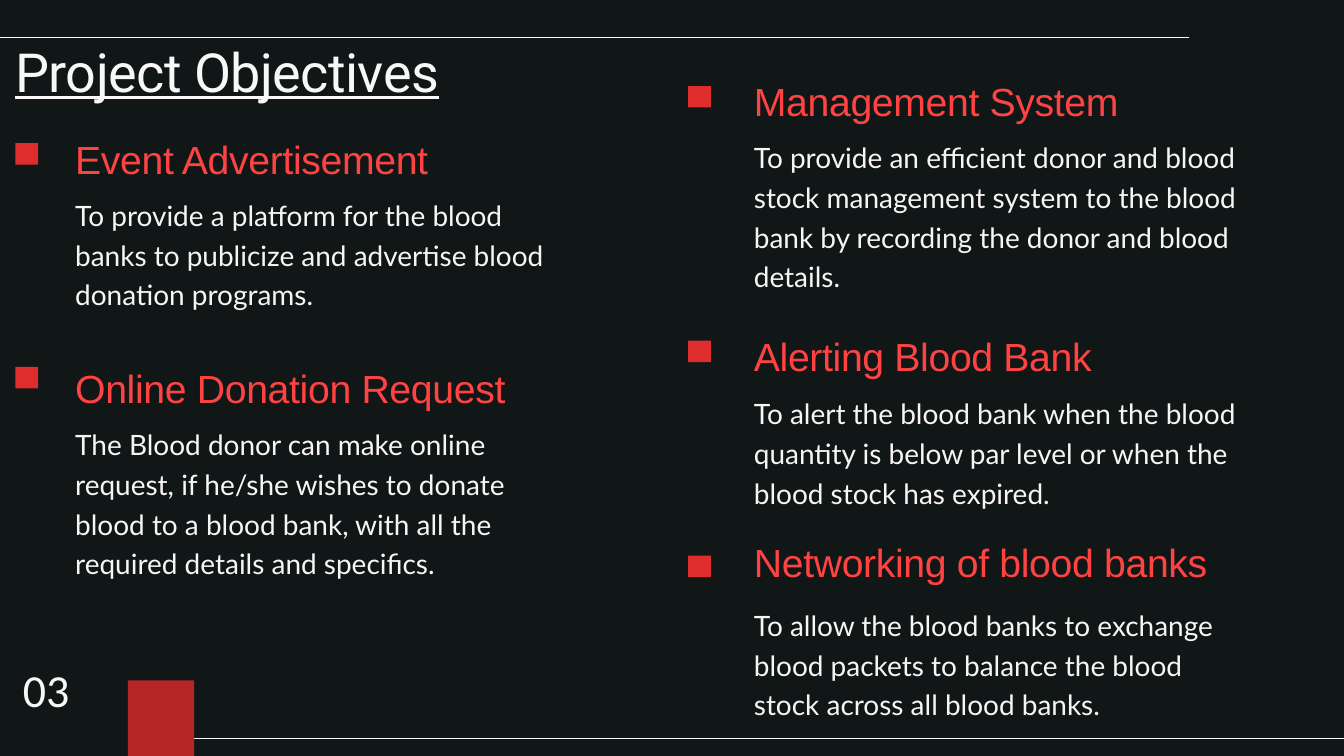
from dataclasses import dataclass

from lxml.etree import SubElement
from pptx import Presentation
from pptx.dml.color import RGBColor
from pptx.enum.shapes import MSO_CONNECTOR, MSO_SHAPE
from pptx.enum.text import MSO_ANCHOR, MSO_AUTO_SIZE, PP_ALIGN
from pptx.oxml.ns import qn
from pptx.util import Pt


@dataclass(frozen=True)
class Style:
    font: str
    size: float
    line: float
    color: str
    tracking: int = 0  # hundredths of a point
    underline: bool = False


@dataclass(frozen=True)
class Theme:
    background: str = "111717"
    rule: str = "F8F8F8"
    accent: str = "DF2C2C"
    rule_width: float = 1.44
    title: Style = Style("Roboto", 57.7, 72.7, "F8F8F8", -60, True)
    heading: Style = Style("Arial", 42, 54.6, "FF4343", -40)
    body: Style = Style("Lato", 30, 42.6, "F8F5F5")
    number: Style = Style("Calibri", 49.2, 70, "F8F8F8")


THEME = Theme()
WIDTH, HEIGHT = 1440, 810
TEXT_WIDTH = 535
HEADING_HEIGHT = 52.5

# Each column: left edge, text indent, then its objectives as
# (heading top, marker drop, body drop, body lines, heading, body)
COLUMNS = [
    (16.5, 64.1, [
        (140.4, 13, 65.5, 3, "Event Advertisement",
         "To provide a platform for the blood banks to publicize and "
         "advertise blood donation programs."),
        (386, 7.2, 65.5, 4, "Online Donation Request",
         "The Blood donor can make online request, if he/she wishes to donate "
         "blood to a blood bank, with all the required details and specifics."),
    ]),
    (737.3, 70.5, [
        (78.5, 13.7, 65.5, 4, "Management System",
         "To provide an efficient donor and blood stock management system to "
         "the blood bank by recording the donor and blood details."),
        (352, 13, 66.3, 3, "Alerting Blood Bank",
         "To alert the blood bank when the blood quantity is below par level "
         "or when the blood stock has expired."),
        (572.4, 23, 72.7, 3, "Networking of blood banks",
         "To allow the blood banks to exchange blood packets to balance the "
         "blood stock across all blood banks."),
    ]),
]


def place(sp, x, y, w, h):
    sp.left, sp.top, sp.width, sp.height = Pt(x), Pt(y), Pt(w), Pt(h)


def write(sp, text, style):
    tf = sp.text_frame
    tf.text = text
    tf.word_wrap = True
    tf.auto_size = MSO_AUTO_SIZE.NONE
    tf.vertical_anchor = MSO_ANCHOR.TOP
    tf.margin_left = tf.margin_right = tf.margin_top = tf.margin_bottom = 0
    p = tf.paragraphs[0]
    p.alignment = PP_ALIGN.LEFT
    p.line_spacing = Pt(style.line)
    p.space_before = Pt(0)
    p.font.name = style.font
    p.font.size = Pt(style.size)
    p.font.color.rgb = RGBColor.from_string(style.color)
    r = p.runs[0]
    if style.underline:
        r.font.underline = True
    if style.tracking:
        r.font._element.set("spc", str(style.tracking))


def add_text(s, x, y, w, h, text, style):
    write(s.shapes.add_textbox(Pt(x), Pt(y), Pt(w), Pt(h)), text, style)


def add_block(s, x, y, w, h, alpha=None):
    sp = s.shapes.add_shape(MSO_SHAPE.RECTANGLE, Pt(x), Pt(y), Pt(w), Pt(h))
    sp.shadow.inherit = False
    sp.fill.solid()
    sp.fill.fore_color.rgb = RGBColor.from_string(THEME.accent)
    sp.line.fill.background()
    if alpha is not None:
        color = sp.fill._xPr.find(qn("a:solidFill"))[0]
        SubElement(color, qn("a:alpha")).set("val", str(alpha * 1000))


def add_rule(s, x1, x2, y):
    line = s.shapes.add_connector(
        MSO_CONNECTOR.STRAIGHT, Pt(x1), Pt(y), Pt(x2), Pt(y))
    line.line.width = Pt(THEME.rule_width)
    line.line.color.rgb = RGBColor.from_string(THEME.rule)
    SubElement(line._element.spPr, qn("a:effectLst"))


def add_header(s, x, y, w, h):
    add_rule(s, 0, 1274.4, y)
    place(s.shapes.title, x, y - 2.8, w, h)
    write(s.shapes.title, "Project Objectives", THEME.title)


def add_objective(s, x, y, indent, marker_drop, body_drop, lines, heading, body):
    add_block(s, x, y + marker_drop, 24.5, 23)
    add_text(s, x + indent, y, TEXT_WIDTH, HEADING_HEIGHT, heading, THEME.heading)
    add_text(s, x + indent, y + body_drop, TEXT_WIDTH, lines * THEME.body.line,
             body, THEME.body)


def add_column(s, x, indent, objectives):
    for y, *details in objectives:
        add_objective(s, x, y, indent, *details)


def add_footer(s, x, y, w, h):
    add_text(s, x + 24.5, y, 110, 66, "03", THEME.number)
    add_rule(s, x + 208, x + w, y + h - 18.7)
    add_block(s, x + 137, y + 30.6, 71, h - 30.6, alpha=80)


def main():
    prs = Presentation()
    prs.slide_width, prs.slide_height = Pt(WIDTH), Pt(HEIGHT)
    s = prs.slides.add_slide(prs.slide_layouts[5])
    s.background.fill.solid()
    s.background.fill.fore_color.rgb = RGBColor.from_string(THEME.background)

    add_header(s, 16.5, 40.3, 664.5, 72)
    for x, indent, objectives in COLUMNS:
        add_column(s, x, indent, objectives)
    add_footer(s, 0, 698.4, WIDTH, HEIGHT - 698.4)
    prs.save("out.pptx")


if __name__ == "__main__":
    main()
